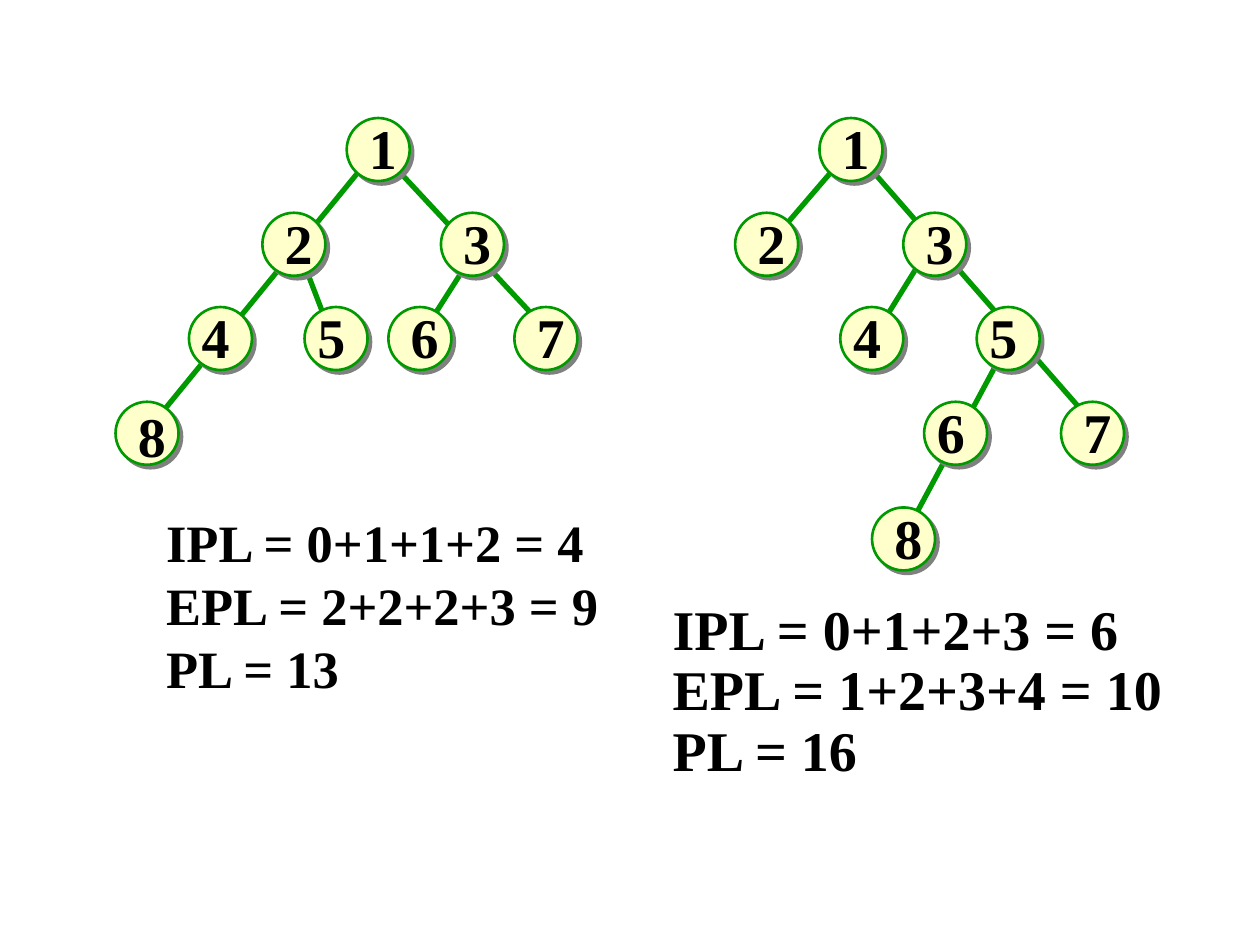
from collections import namedtuple
from dataclasses import dataclass

from lxml import etree
from pptx import Presentation
from pptx.dml.color import RGBColor
from pptx.enum.shapes import MSO_CONNECTOR as Connector, MSO_SHAPE as Shape
from pptx.enum.text import MSO_ANCHOR as Anchor, MSO_AUTO_SIZE as AutoSize, PP_ALIGN as Align
from pptx.oxml.ns import qn
from pptx.util import Cm, Pt


@dataclass(frozen=True)
class Theme:
    font: str = "Times New Roman"
    text: RGBColor = RGBColor(0x00, 0x00, 0x00)
    green: RGBColor = RGBColor(0x00, 0x99, 0x00)
    cream: RGBColor = RGBColor(0xFF, 0xFF, 0xCC)
    shadow: str = "808080"
    large: int = 32
    medium: int = 30
    branch_width: float = 3
    outline_width: float = 1.5


THEME = Theme()
Box = namedtuple("Box", "left top width height")
Node = namedtuple("Node", "label x y label_dx label_dy", defaults=(-0.02, -0.21))

NODE_SIZE = 1.27
LEVELS = (0, 1.91, 3.81, 5.72, 7.85)
SHIFTED_LEFT = -0.21

# Node corners and branch ends are in centimetres from the corner of the tree.
COMPLETE_NODES = (
    Node("1", 4.66, LEVELS[0]),
    Node("2", 2.96, LEVELS[1]),
    Node("3", 6.56, LEVELS[1]),
    Node("4", 1.48, LEVELS[2], SHIFTED_LEFT),
    Node("5", 3.81, LEVELS[2], SHIFTED_LEFT),
    Node("6", 5.5, LEVELS[2]),
    Node("7", 8.04, LEVELS[2]),
    Node("8", 0, LEVELS[3], label_dy=-0.13),
)
COMPLETE_BRANCHES = (
    (7.19, 2.77, 6.12, 4.45),
    (3.81, 2.97, 4.22, 4.04),
    (5.71, 1.07, 8.66, 4.24),
    (5.08, 0.86, 0.41, 6.58),
)
SKEWED_NODES = (
    Node("1", 1.7, LEVELS[0]),
    Node("2", 0, LEVELS[1]),
    Node("3", 3.39, LEVELS[1]),
    Node("4", 2.12, LEVELS[2], SHIFTED_LEFT),
    Node("5", 4.87, LEVELS[2], SHIFTED_LEFT),
    Node("6", 3.81, LEVELS[3], SHIFTED_LEFT),
    Node("7", 6.57, LEVELS[3]),
    Node("8", 2.76, LEVELS[4]),
)
SKEWED_BRANCHES = (
    (3.81, 2.77, 2.77, 4.45),
    (5.31, 4.88, 3.61, 8.05),
    (2.77, 1.07, 7.21, 6.15),
    (2.13, 0.86, 0.86, 2.34),
)


def add_effects(shape):
    properties = shape._element.spPr
    return etree.SubElement(properties, qn("a:effectLst"))


def add_hard_shadow(shape):
    shadow = etree.SubElement(
        add_effects(shape), qn("a:outerShdw"), dist=str(Pt(2.8)), dir="2700000", algn="ctr", rotWithShape="0"
    )
    etree.SubElement(shadow, qn("a:srgbClr"), val=THEME.shadow)


def add_text(shapes, box, lines, size, align=Align.LEFT, spacing=None, wrap=False):
    textbox = shapes.add_textbox(*map(Cm, box))
    frame = textbox.text_frame
    frame.word_wrap = wrap
    frame.auto_size = AutoSize.SHAPE_TO_FIT_TEXT
    frame.vertical_anchor = Anchor.MIDDLE
    frame.text = "\n".join(lines)
    for paragraph in frame.paragraphs:
        paragraph.alignment = align
        paragraph.line_spacing = spacing
        paragraph.font.name = THEME.font
        paragraph.font.size = Pt(size)
        paragraph.font.bold = True
        paragraph.font.color.rgb = THEME.text


def add_branch(shapes, box, ends):
    x1, y1, x2, y2 = ends
    branch = shapes.add_connector(
        Connector.STRAIGHT,
        Cm(box.left + x1), Cm(box.top + y1), Cm(box.left + x2), Cm(box.top + y2),
    )
    branch.line.color.rgb = THEME.green
    branch.line.width = Pt(THEME.branch_width)
    add_effects(branch)


def add_circle(shapes, box, node):
    circle = shapes.add_shape(
        Shape.OVAL, Cm(box.left + node.x), Cm(box.top + node.y), Cm(NODE_SIZE), Cm(NODE_SIZE)
    )
    circle.fill.solid()
    circle.fill.fore_color.rgb = THEME.cream
    circle.line.color.rgb = THEME.green
    circle.line.width = Pt(THEME.outline_width)
    add_hard_shadow(circle)


def add_tree(slide, box, nodes, branches):
    """Draw branches first, so that the circles cover the parts inside them."""
    shapes = slide.shapes.add_group_shape().shapes
    for ends in branches:
        add_branch(shapes, box, ends)
    for node in nodes:
        add_circle(shapes, box, node)
    for node in nodes:
        label_box = Box(box.left + node.x + node.label_dx, box.top + node.y + node.label_dy, 1.5, 1.6)
        add_text(shapes, label_box, [node.label], THEME.large, Align.CENTER, wrap=True)


def add_path_lengths(slide, box, internal, external, total, size, spacing=None):
    lines = [f"IPL = {internal}", f"EPL = {external}", f"PL = {total}"]
    add_text(slide.shapes, box, lines, size, spacing=spacing)


def main():
    presentation = Presentation()
    presentation.slide_width = Cm(25.4)
    presentation.slide_height = Cm(19.05)
    slide = presentation.slides.add_slide(presentation.slide_layouts[6])

    add_tree(slide, Box(2.33, 2.38, 9.31, 6.99), COMPLETE_NODES, COMPLETE_BRANCHES)
    add_tree(slide, Box(14.82, 2.38, 7.84, 9.12), SKEWED_NODES, SKEWED_BRANCHES)
    add_path_lengths(
        slide, Box(3.1, 10.16, 9.3, 4.06), "0+1+1+2 = 4", "2+2+2+3 = 9", 13, THEME.medium
    )
    add_path_lengths(
        slide, Box(13.31, 12.01, 10.44, 3.91), "0+1+2+3 = 6", "1+2+3+4 = 10", 16, THEME.large, spacing=0.9
    )
    presentation.save("out.pptx")


if __name__ == "__main__":
    main()
